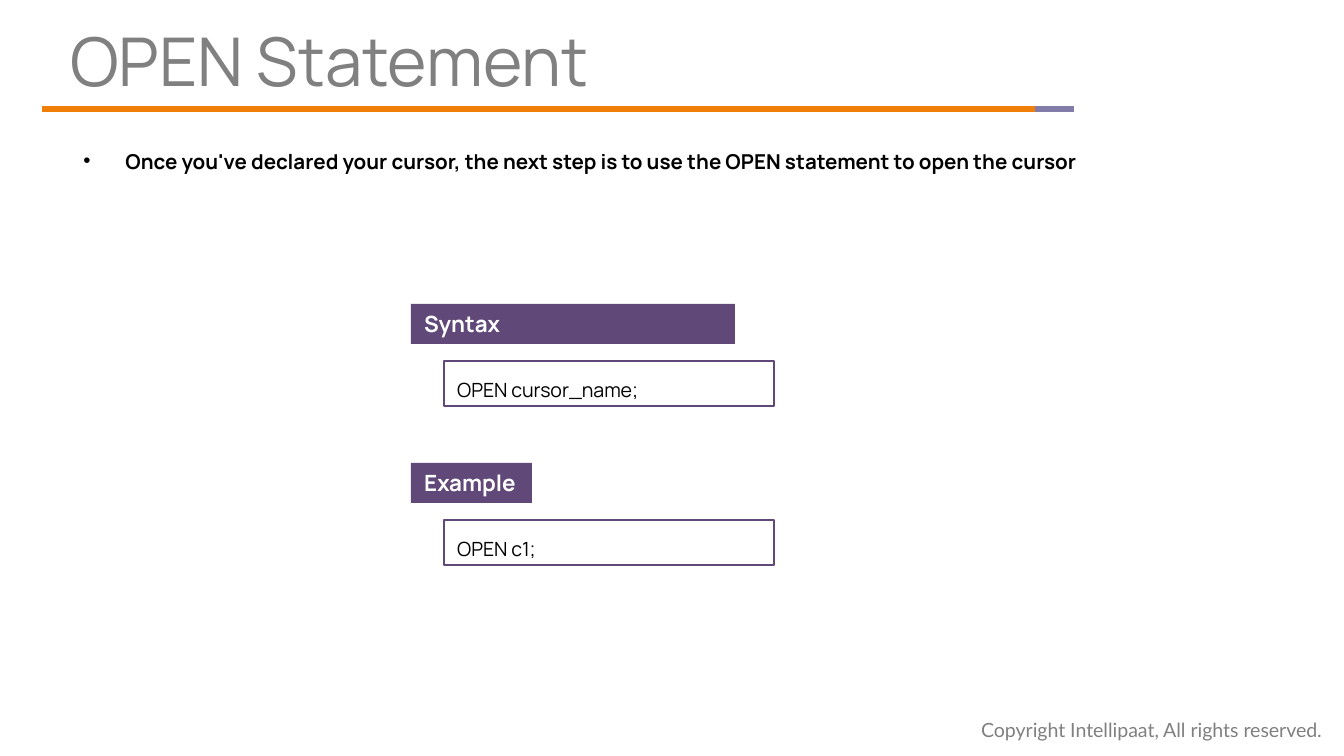
from pptx import Presentation
from pptx.dml.color import RGBColor
from pptx.enum.shapes import MSO_CONNECTOR, MSO_SHAPE
from pptx.enum.text import MSO_ANCHOR, MSO_AUTO_SIZE, PP_ALIGN
from pptx.oxml.ns import qn
from pptx.util import Pt
from lxml import etree

LINE = MSO_CONNECTOR.STRAIGHT
RECT = MSO_SHAPE.RECTANGLE
MIDDLE = MSO_ANCHOR.MIDDLE
FIXED = MSO_AUTO_SIZE.NONE
LEFT = PP_ALIGN.LEFT
SCALE = 914400 / 134.4
COLORS = {
    "orange": "F07F09",
    "lilac": "827CA8",
    "purple": "604878",
    "gray": "808080",
    "black": "000000",
    "white": "FFFFFF",
}


def px(size):
    return round(size * SCALE)


def color(name):
    return RGBColor.from_string(COLORS[name])


class Deck:
    font = "Manrope"

    def __init__(self, width, height):
        self.prs = Presentation()
        self.prs.slide_width = px(width)
        self.prs.slide_height = px(height)
        self.slide = self.prs.slides.add_slide(self.prs.slide_layouts[1])

    def text(self, shape, words, size, ink, bold=False, font=None, lines=1.0):
        frame = shape.text_frame
        frame.word_wrap = True
        frame.auto_size = FIXED
        frame.vertical_anchor = MIDDLE
        para = frame.paragraphs[0]
        para.alignment = LEFT
        para.line_spacing = lines
        para.space_before = Pt(0)
        run = para.add_run()
        run.text = words
        run.font.name = font or self.font
        run.font.size = Pt(size)
        run.font.bold = bold
        run.font.color.rgb = color(ink)
        return para

    def place(self, shape, x, y, w, h):
        shape.left, shape.top = px(x), px(y)
        shape.width, shape.height = px(w), px(h)

    def title(self, words, *box):
        shape = self.slide.shapes.title
        self.place(shape, *box)
        self.text(shape, words, 36, "gray", lines=0.9)
        shape.text_frame.margin_left = 0

    def bullet(self, words, *box):
        shape = self.slide.placeholders[1]
        self.place(shape, *box)
        para = self.text(shape, words, 11, "black", bold=True, lines=2.0)
        props = para._p.get_or_add_pPr()
        props.set("marL", str(px(42)))
        props.set("indent", str(-px(42)))

    def rule(self, x1, x2, y, ink):
        line = self.slide.shapes.add_connector(LINE, px(x1), px(y), px(x2), px(y))
        line.line.color.rgb = color(ink)
        line.line.width = Pt(3)
        etree.SubElement(line._element.spPr, qn("a:effectLst"))

    def rect(self, x, y, w, h):
        shape = self.slide.shapes.add_shape(RECT, px(x), px(y), px(w), px(h))
        shape.shadow.inherit = False
        return shape

    def label(self, words, *box):
        shape = self.rect(*box)
        shape.fill.solid()
        shape.fill.fore_color.rgb = color("purple")
        shape.line.fill.background()
        self.text(shape, words, 12, "white", bold=True)

    def code(self, words, *box):
        shape = self.rect(*box)
        shape.fill.background()
        shape.line.color.rgb = color("purple")
        shape.line.width = Pt(0.75)
        self.text(shape, words, 10.5, "black", lines=1.5)

    def note(self, words, x, y, w, h):
        shape = self.slide.shapes.add_textbox(px(x), px(y), px(w), px(h))
        self.text(shape, words, 10.5, "gray", font="Lato")


def main():
    deck = Deck(1344, 756)
    deck.note("Copyright Intellipaat, All rights reserved.", 968, 711, 376, 38)
    deck.rule(42, 1035, 109, "orange")
    deck.rule(1035, 1074, 109, "lilac")
    deck.title("OPEN Statement", 70, 22, 954, 85)
    deck.bullet(
        "Once you've declared your cursor, the next step is to use "
        "the OPEN statement to open the cursor",
        70, 121, 1142, 55,
    )
    parts = [("Syntax", 324, "OPEN cursor_name;"), ("Example", 121, "OPEN c1;")]
    for i, (head, width, code) in enumerate(parts):
        top = 304 + 159 * i
        deck.label(head, 411, top, width, 40)
        deck.code(code, 444, top + 57, 330, 45)
    deck.prs.save("out.pptx")


if __name__ == "__main__":
    main()
